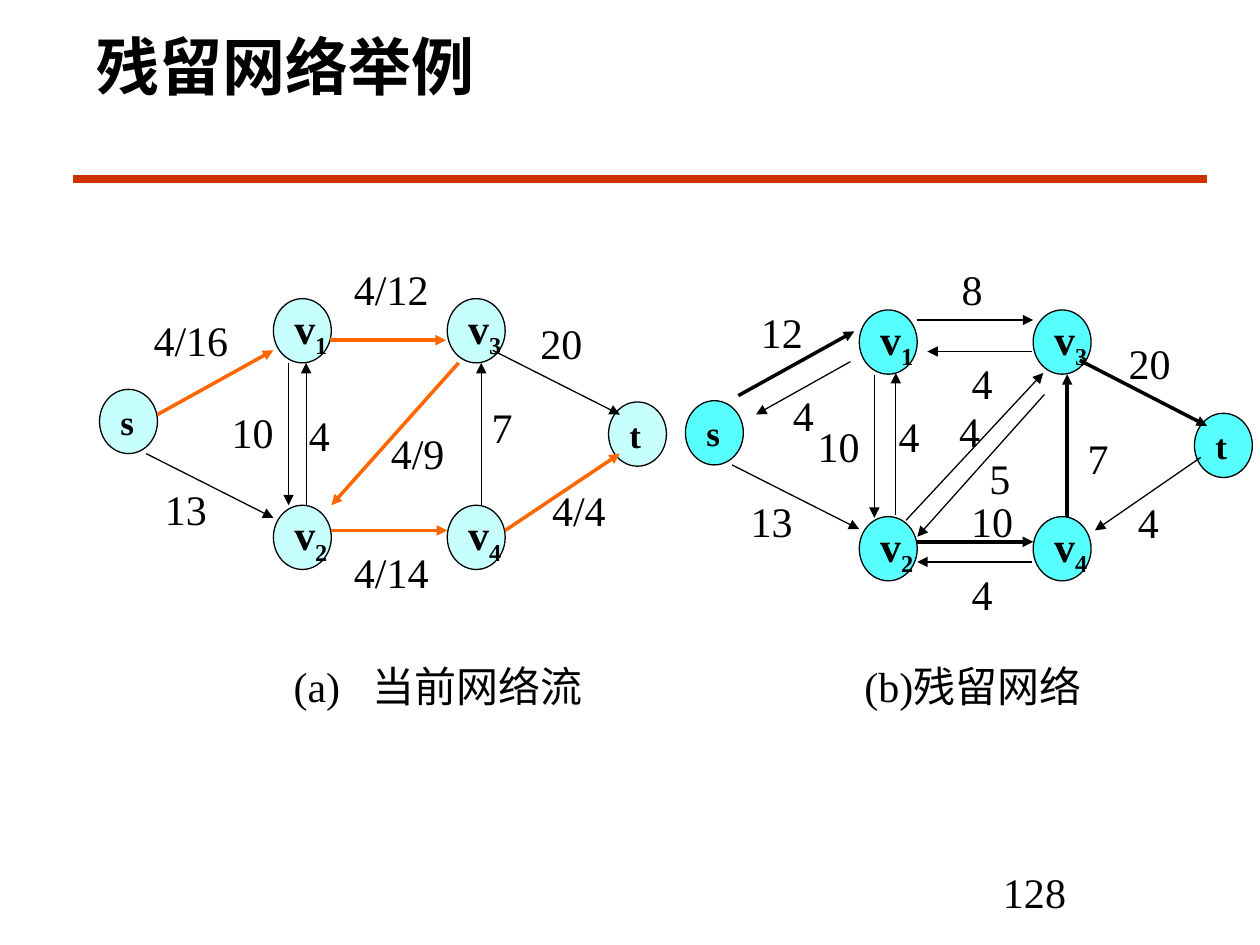
"""Build the residual network example slide: a current flow beside its residual network."""
import pptx
import pptx.dml.color
import pptx.enum.shapes
import pptx.enum.text
import pptx.oxml.ns
import pptx.util
from lxml import etree

COLORS = {"ink": "000000", "rule": "CC3300", "path": "FF6600", "flow": "C7FFFF", "residual": "58FFFF"}
FONT = "Times New Roman"
COLUMNS, ROWS = 100, 75
NODE_WIDTH, NODE_HEIGHT = 4.6, 5.1
LABEL_WIDTH, LABEL_HEIGHT = 8, 5
THIN, THICK = 0.75, 2
RESIDUAL_SHIFT = (46.5, 0.9)

NODES = {"s": (7.9, 30.9), "v1": (21.7, 23.7), "v2": (21.7, 40.1),
         "v3": (35.5, 23.7), "v4": (35.5, 40.1), "t": (48.3, 31.9)}

# Each edge: tail node, head node, offsets from their corners, label, label offset from the midpoint.
FLOW_PATH = [
    ("s", "v1", (4.6, 2), (0, 4.1), "4/16", (-1.95, -3.35)),
    ("v1", "v3", (4.5, 3.3), (-0.1, 3.3), "4/12", (0.25, -4.1)),
    ("v3", "v2", (0.9, 5.1), (4.6, 0), "4/9", (1.8, 1.45)),
    ("v2", "v4", (4.6, 2), (0, 2), "4/14", (0.15, 3.3)),
    ("v4", "t", (4.6, 2), (0.9, 4.1), "4/4", (1.3, 1.45)),
]
FLOW_EDGES = [
    ("v3", "t", (3.6, 4.1), (0.9, 1), "20", (0.4, -3.15)),
    ("s", "v2", (3.7, 5.1), (0, 1), "13", (-1.9, 1.85)),
    ("v2", "v1", (2.6, 0), (2.6, 5.1), "4", (1.05, 0.05)),
    ("v4", "v3", (2.7, 0), (2.7, 5.1), "7", (1.65, -0.55)),
    ("v1", "v2", (1.2, 5.1), (1.2, 0), "10", (-2.85, -0.15)),
]
RESIDUAL_PATH = [
    ("s", "v1", (4.2, -0.4), (-0.4, 1.7), "12", (-1.15, -2.55)),
    ("v3", "t", (3.7, 4), (1, 1), "20", (0.5, -2.4)),
    ("v2", "v4", (4.6, 2), (0, 2), "10", (1.35, -1.7)),
    ("v4", "v3", (2.7, 0), (2.7, 5.1), "7", (2.45, 0.95)),
]
RESIDUAL_EDGES = [
    ("v1", "s", (-0.7, 4.1), (5.6, 1.1), "4", (0, 2.1)),
    ("v1", "v3", (4.6, 0.8), (0, 0.8), "8", (-0.25, -2.5)),
    ("s", "v2", (3.7, 5.1), (0, 1), "13", (-1.9, 1.85)),
    ("v2", "v1", (2.9, -0.1), (2.9, 5), "4", (1.05, -0.65)),
    ("v3", "v2", (0.9, 6.7), (4.6, 1.6), "5", (1.5, 0.95)),
    ("v3", "v1", (-0.1, 3.3), (5.4, 3.3), "4", (0.2, 2.5)),
    ("v2", "v3", (3.7, 0.3), (0.8, 5), "4", (-0.4, -1.25)),
    ("v4", "v2", (-0.1, 3.6), (4.6, 3.6), "4", (0.6, 2.5)),
    ("t", "v4", (0.5, 3.5), (4.9, 1.1), "4", (0.05, 2.2)),
    ("v1", "v2", (1.2, 5.2), (1.2, 0.1), "10", (-2.85, -0.05)),
]


def add(*points):
    return tuple(sum(values) for values in zip(*points))


class NetworkSlide:
    """Draw styled elements on one slide, placed by grid columns and rows."""

    def __init__(self, presentation):
        self.slide = presentation.slides.add_slide(presentation.slide_layouts[6])
        self.column = presentation.slide_width / COLUMNS
        self.row = presentation.slide_height / ROWS

    def place(self, *lengths):
        units = (self.column, self.row) * 2
        return [round(length * unit) for length, unit in zip(lengths, units)]

    def color(self, name):
        return pptx.dml.color.RGBColor.from_string(COLORS[name])

    def run(self, paragraph, text, size, bold=False):
        run = paragraph.add_run()
        run.text = text
        run.font.name = FONT
        run.font.size = pptx.util.Pt(size)
        run.font.bold = bold
        run.font.color.rgb = self.color("ink")
        return run

    def text(self, text, left, top, width, height, size=24, bold=False, centered=True):
        shape = self.slide.shapes.add_textbox(*self.place(left, top, width, height))
        shape.text_frame.word_wrap = True
        paragraph = shape.text_frame.paragraphs[0]
        alignment = pptx.enum.text.PP_ALIGN
        paragraph.alignment = alignment.CENTER if centered else alignment.LEFT
        self.run(paragraph, text, size, bold)
        return shape

    def label(self, text, center_x, center_y):
        self.text(text, center_x - LABEL_WIDTH / 2, center_y - LABEL_HEIGHT / 2,
                  LABEL_WIDTH, LABEL_HEIGHT)

    def tabbed_text(self, text, left, top, width, height, stops):
        shape = self.text(text, left, top, width, height, centered=False)
        shape.text_frame.margin_left = 0
        properties = shape.text_frame.paragraphs[0]._p.get_or_add_pPr()
        tabs = etree.SubElement(properties, pptx.oxml.ns.qn("a:tabLst"))
        for stop in stops:
            tab = etree.SubElement(tabs, pptx.oxml.ns.qn("a:tab"))
            tab.set("pos", str(round(stop * self.column)))
            tab.set("algn", "l")

    def node(self, name, left, top, fill):
        shape = self.slide.shapes.add_shape(
            pptx.enum.shapes.MSO_SHAPE.OVAL, *self.place(left, top, NODE_WIDTH, NODE_HEIGHT))
        shape.shadow.inherit = False
        shape.fill.solid()
        shape.fill.fore_color.rgb = self.color(fill)
        shape.line.color.rgb = self.color("ink")
        shape.line.width = pptx.util.Pt(THIN)
        frame = shape.text_frame
        frame.word_wrap = False
        frame.vertical_anchor = pptx.enum.text.MSO_ANCHOR.MIDDLE
        paragraph = frame.paragraphs[0]
        paragraph.alignment = pptx.enum.text.PP_ALIGN.LEFT
        letter, subscript = name[0], name[1:]
        self.run(paragraph, letter, 24 if subscript else 20, bold=True)
        if subscript:
            run = self.run(paragraph, subscript, 24, bold=True)
            run.font._element.set("baseline", "-25000")

    def line(self, start, end, color="ink", width=THIN, arrow=True):
        connector = self.slide.shapes.add_connector(
            pptx.enum.shapes.MSO_CONNECTOR.STRAIGHT, *self.place(*start, *end))
        connector.line.color.rgb = self.color(color)
        connector.line.width = pptx.util.Pt(width)
        if arrow:
            head = etree.SubElement(connector.line._get_or_add_ln(), pptx.oxml.ns.qn("a:tailEnd"))
            head.set("type", "triangle")
        etree.SubElement(connector._element.spPr, pptx.oxml.ns.qn("a:effectLst"))

    def edges(self, nodes, edges, color="ink", width=THIN):
        for tail, head, tail_offset, head_offset, label, label_offset in edges:
            start = add(nodes[tail], tail_offset)
            end = add(nodes[head], head_offset)
            self.line(start, end, color, width)
            middle = [total / 2 for total in add(start, end)]
            self.label(label, *add(middle, label_offset))

    def network(self, shift, fill, path, path_color, edges):
        nodes = {name: add(corner, shift) for name, corner in NODES.items()}
        for name, corner in nodes.items():
            self.node(name, *corner, fill)
        self.edges(nodes, path, path_color, THICK)
        self.edges(nodes, edges)


def main():
    presentation = pptx.Presentation()
    presentation.slide_width = pptx.util.Inches(10)
    presentation.slide_height = pptx.util.Inches(7.5)
    page = NetworkSlide(presentation)
    page.line((5.8, 14.2), (95.8, 14.2), color="rule", width=4.5, arrow=False)
    page.text("残留网络举例", 6.7, 1.7, 83, 7.5, size=36, bold=True, centered=False)
    page.network((0, 0), "flow", FLOW_PATH, "path", FLOW_EDGES)
    page.network(RESIDUAL_SHIFT, "residual", RESIDUAL_PATH, "ink", RESIDUAL_EDGES)
    page.tabbed_text("(a)\t当前网络流\t(b)残留网络", 23.3, 51.9, 65.5, 5.1, stops=(6.3, 45.3))
    page.text("128", 71.7, 68.3, 20.8, 5)
    presentation.save("out.pptx")


if __name__ == "__main__":
    main()
